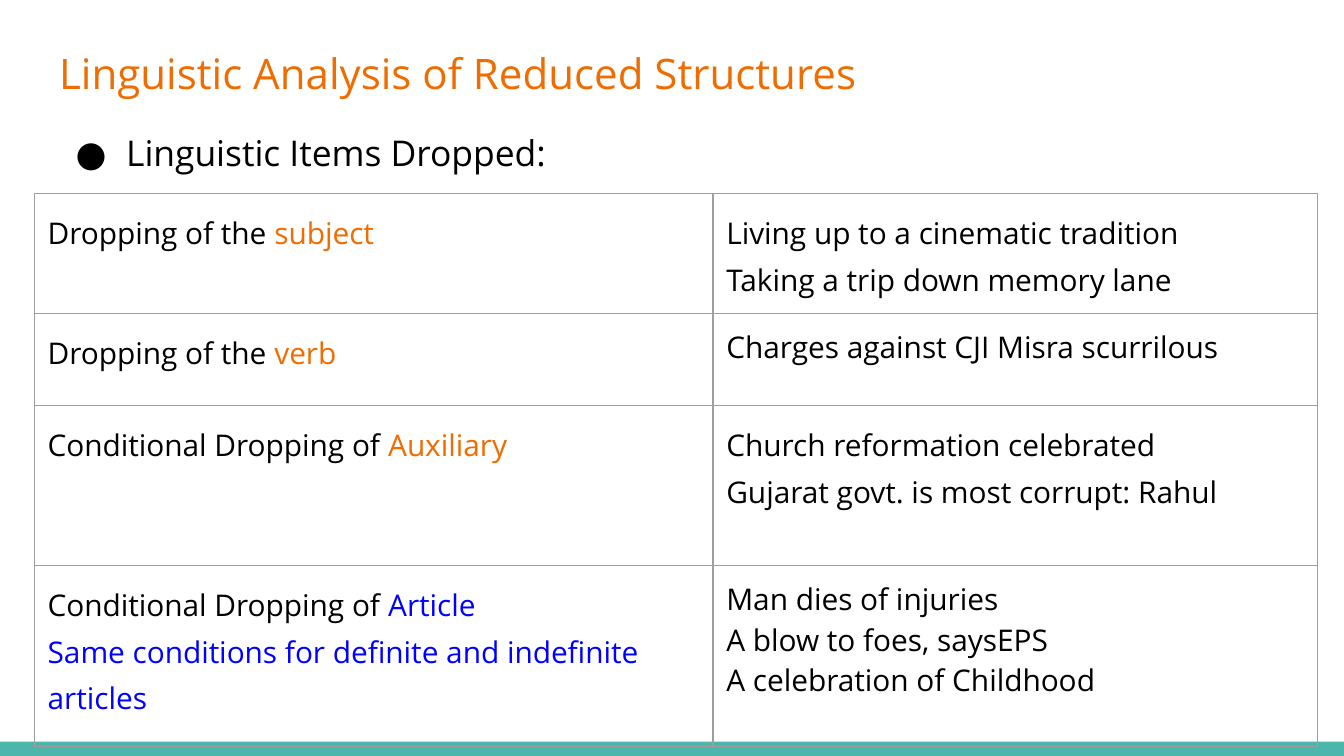
import pptx
import pptx.util
import pptx.dml.color
import pptx.enum.shapes
import pptx.enum.text
import pptx.oxml
import pptx.oxml.ns

Pt = pptx.util.Pt
RGB = pptx.dml.color.RGBColor
BLACK = RGB(0x00, 0x00, 0x00)
ORANGE = RGB(0xEF, 0x6C, 0x00)
BLUE = RGB(0x00, 0x00, 0xFF)
TEAL = RGB(0x4D, 0xB6, 0xAC)
GREY = RGB(0x9E, 0x9E, 0x9E)
NS = pptx.oxml.ns.nsdecls("a")

FRAME = {
    "word_wrap": True,
    "auto_size": pptx.enum.text.MSO_AUTO_SIZE.NONE,
    "vertical_anchor": pptx.enum.text.MSO_ANCHOR.TOP,
    "margin_left": Pt(7.2),
    "margin_right": Pt(7.2),
    "margin_top": Pt(7.2),
    "margin_bottom": Pt(7.2),
}
CELL = {key: val for key, val in FRAME.items() if key not in ("word_wrap", "auto_size")}
LEFT = pptx.enum.text.PP_ALIGN.LEFT


def style(item, form):
    for key, val in form.items():
        setattr(item, key, val)


def write(para, runs, size, form):
    style(para, {"alignment": LEFT, "space_before": Pt(0), "space_after": Pt(0), **form})
    for text, color in runs:
        run = para.add_run()
        run.text = text
        style(run.font, {"name": "Open Sans", "size": Pt(size), "bold": False})
        run.font.color.rgb = color


deck = pptx.Presentation()
style(deck, {"slide_width": Pt(720), "slide_height": Pt(405)})
slide = deck.slides.add_slide(deck.slide_layouts[5])

band = slide.shapes.add_shape(
    pptx.enum.shapes.MSO_SHAPE.RECTANGLE, Pt(0), Pt(397.3), Pt(720), Pt(7.7))
band.shadow.inherit = False
band.fill.solid()
band.fill.fore_color.rgb = TEAL
band.line.fill.background()

title = slide.shapes.title
style(title, {"left": Pt(24.5), "top": Pt(18), "width": Pt(671), "height": Pt(55.4)})
style(title.text_frame, FRAME)
write(title.text_frame.paragraphs[0],
      [("Linguistic Analysis of Reduced Structures", ORANGE)], 22.5, {})

body = slide.shapes.add_textbox(Pt(24.5), Pt(59.8), Pt(671), Pt(277.2))
style(body.text_frame, FRAME)
point = body.text_frame.paragraphs[0]
props = point._p.get_or_add_pPr()
style_indent = {"marL": Pt(36), "indent": -Pt(27)}
for key, val in style_indent.items():
    props.set(key, str(int(val)))
for xml in (f'<a:buClr {NS}><a:srgbClr val="{BLACK}"/></a:buClr>',
            f'<a:buFont {NS} typeface="Open Sans"/>',
            f'<a:buChar {NS} char="●"/>'):
    props.append(pptx.oxml.parse_xml(xml))
write(point, [("Linguistic Items Dropped:", BLACK)], 19, {"line_spacing": 1.15})

LOOSE = {"line_spacing": 1.15}
LAST = {"line_spacing": 1.15, "space_after": Pt(16)}
TIGHT = {"line_spacing": 1.0}
ROWS = [
    (64.2, [([("Dropping of the ", BLACK), ("subject", ORANGE)], LAST)],
     [([("Living up to a cinematic tradition", BLACK)], LOOSE),
      ([("Taking a trip down memory lane", BLACK)], LOOSE)]),
    (49.4, [([("Dropping of the ", BLACK), ("verb", ORANGE)], LAST)],
     [([("Charges against CJI Misra scurrilous", BLACK)], TIGHT)]),
    (85.8, [([("Conditional Dropping of ", BLACK), ("Auxiliary", ORANGE)], LAST)],
     [([("Church reformation celebrated", BLACK)], LOOSE),
      ([("Gujarat govt. is most corrupt: Rahul", BLACK)], LOOSE)]),
    (96.9, [([("Conditional Dropping of ", BLACK), ("Article", BLUE)], LOOSE),
            ([("Same conditions for definite and indefinite articles", BLUE)], LAST)],
     [([("Man dies of injuries", BLACK)], TIGHT),
      ([("A blow to foes, saysEPS", BLACK)], TIGHT),
      ([("A celebration of Childhood", BLACK)], {**TIGHT, "space_after": Pt(10)})]),
]
WIDTHS = (363.6, 324)

tall = sum(row[0] for row in ROWS)
table = slide.shapes.add_table(
    len(ROWS), len(WIDTHS), Pt(18.3), Pt(103.5), Pt(sum(WIDTHS)), Pt(tall)).table
style(table, {"first_row": False, "horz_banding": False})
for col, width in zip(table.columns, WIDTHS):
    col.width = Pt(width)

for row, (height, *cells) in zip(table.rows, ROWS):
    row.height = Pt(height)
    for cell, paras in zip(row.cells, cells):
        style(cell, CELL)
        cell.fill.background()
        edges = cell._tc.get_or_add_tcPr()
        for spot, side in enumerate(("lnL", "lnR", "lnT", "lnB")):
            edges.insert(spot, pptx.oxml.parse_xml(
                f'<a:{side} {NS} w="{Pt(0.75)}"><a:solidFill>'
                f'<a:srgbClr val="{GREY}"/></a:solidFill></a:{side}>'))
        frame = cell.text_frame
        for spot, (runs, form) in enumerate(paras):
            para = frame.add_paragraph() if spot else frame.paragraphs[0]
            write(para, runs, 16, form)

deck.save("out.pptx")
